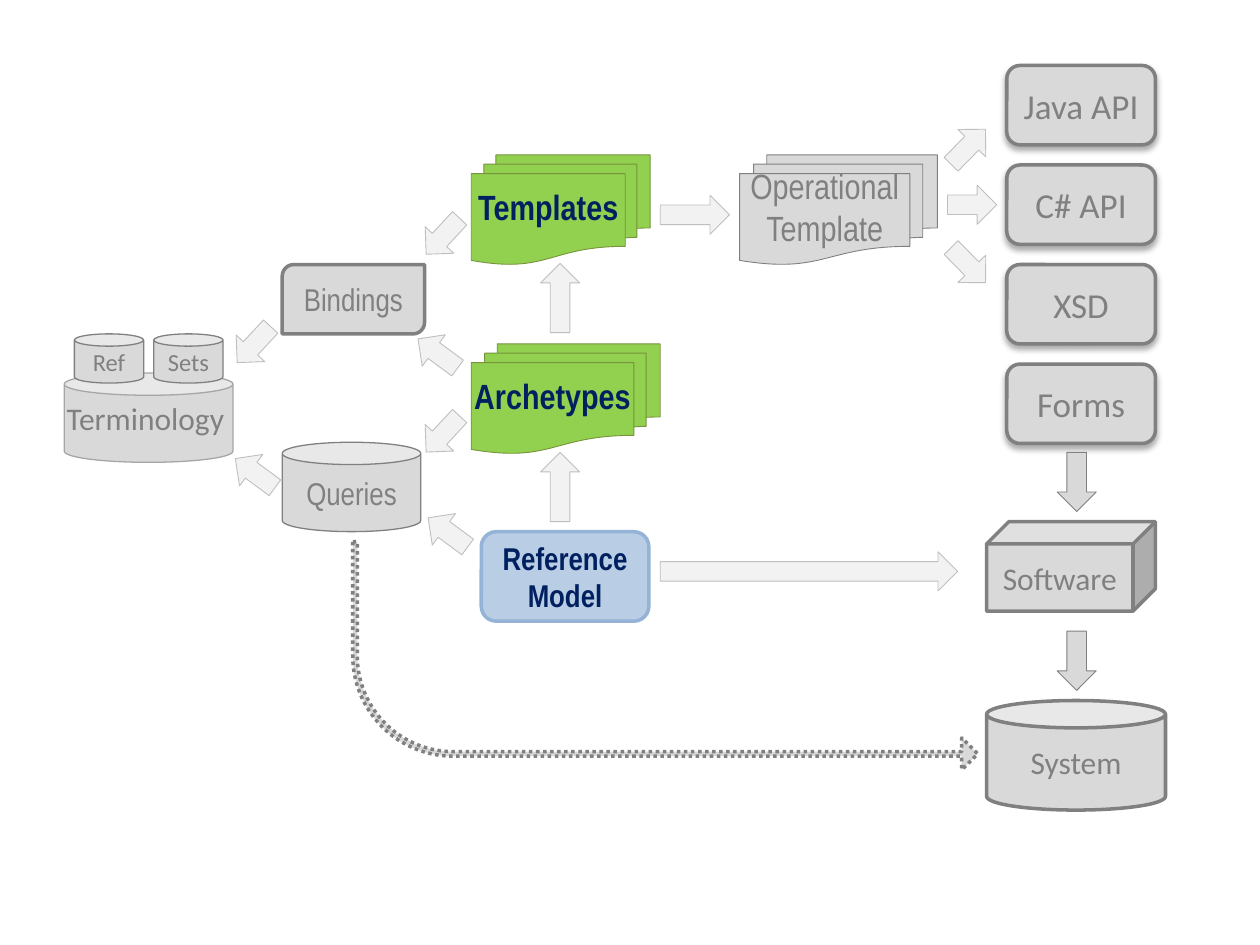
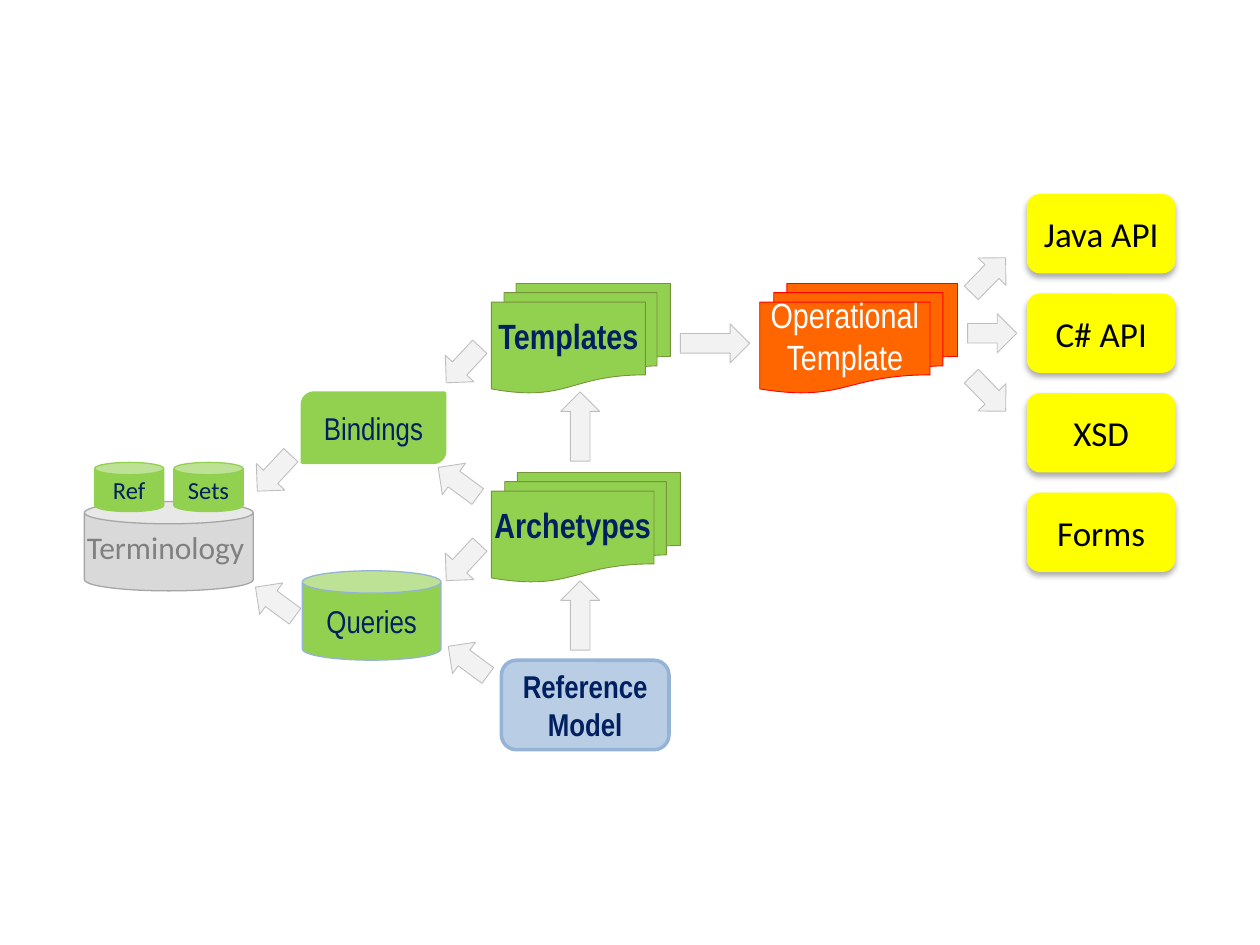
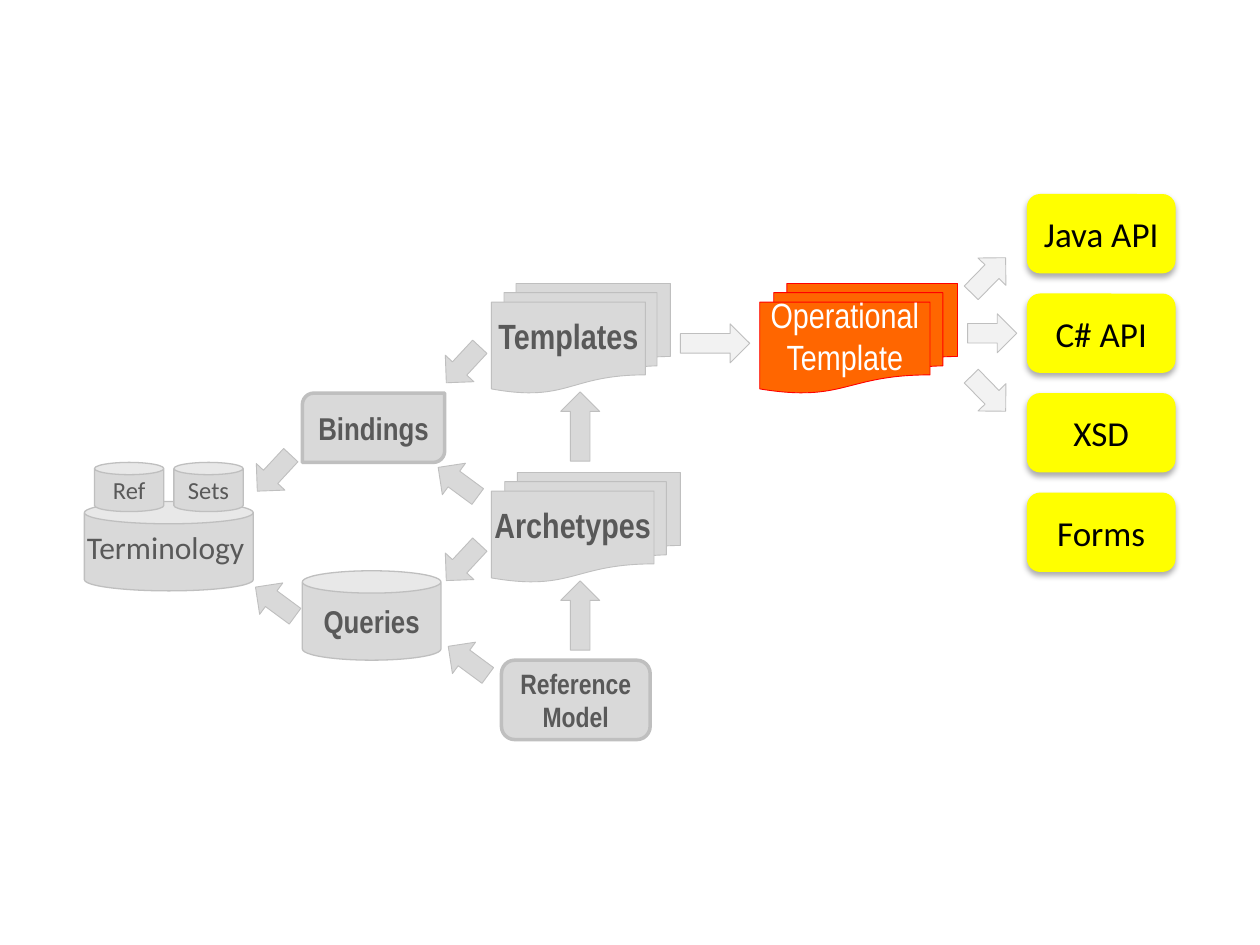
from dataclasses import dataclass, replace
from typing import Any, Optional

from lxml import etree
from pptx import Presentation
from pptx.dml.color import RGBColor
from pptx.enum.dml import MSO_LINE_DASH_STYLE as Dash
from pptx.enum.shapes import MSO_SHAPE as Shape
from pptx.enum.text import MSO_ANCHOR, PP_ALIGN
from pptx.oxml.ns import qn
from pptx.util import Inches, Pt

WHITE = RGBColor(0xFF, 0xFF, 0xFF)
BLACK = RGBColor(0x00, 0x00, 0x00)
NAVY = RGBColor(0x00, 0x20, 0x60)
PALE_BLUE = RGBColor(0xB9, 0xCD, 0xE5)
MID_BLUE = RGBColor(0x95, 0xB3, 0xD7)
GREEN = RGBColor(0x92, 0xD0, 0x50)
DARK_GREEN = RGBColor(0x77, 0x93, 0x3C)
ORANGE = RGBColor(0xFF, 0x66, 0x00)
RED = RGBColor(0xFF, 0x00, 0x00)
YELLOW = RGBColor(0xFF, 0xFF, 0x00)
GREY_F2 = RGBColor(0xF2, 0xF2, 0xF2)
GREY_D9 = RGBColor(0xD9, 0xD9, 0xD9)
GREY_BF = RGBColor(0xBF, 0xBF, 0xBF)
GREY_A6 = RGBColor(0xA6, 0xA6, 0xA6)
GREY_80 = RGBColor(0x80, 0x80, 0x80)
GREY_59 = RGBColor(0x59, 0x59, 0x59)

NARROW = "Arial Narrow"
CALIBRI = "Calibri"
DEFAULT_INSETS = (0.1, 0.05, 0.1, 0.05)
DOCUMENT_INSETS = (0, 0, 0, 0.16)
ARROW_SIZE = (0.39, 0.31)
LONG_ARROW_SIZE = (0.55, 0.31)
API_NAMES = ("Java API", "C# API", "XSD", "Forms")
DOWN_LEFT, UP_LEFT, UP, DOWN = 132.9, 216.4, 270, 90


@dataclass(frozen=True)
class Look:
    fill: RGBColor
    line: Optional[RGBColor] = None
    text: RGBColor = BLACK
    bold: bool = False


GREY = Look(GREY_D9, GREY_80, GREY_80)
MUTED = Look(GREY_D9, GREY_BF, GREY_59)
MUTED_BOLD = replace(MUTED, bold=True)
LIGHT_ARROW = Look(GREY_F2, GREY_BF)


@dataclass(frozen=True)
class Palette:
    """Looks of the diagram's parts; the defaults highlight the models."""
    reference: Look = Look(PALE_BLUE, MID_BLUE, NAVY, True)
    documents: Look = Look(GREEN, DARK_GREEN, NAVY, True)
    bindings: Look = GREY
    queries: Look = GREY
    sets: Look = GREY
    terminology: Look = Look(GREY_D9, GREY_A6, GREY_80)
    model_arrows: Look = LIGHT_ARROW
    operational: Look = GREY
    apis: Look = GREY
    reference_size: tuple = (1.33, 0.71)
    reference_font: int = 18


MODELS = Palette()
OUTPUTS = Palette(
    bindings=Look(GREEN, GREEN, NAVY),
    queries=Look(GREEN, MID_BLUE, NAVY),
    sets=Look(GREEN, GREEN, NAVY),
    operational=Look(ORANGE, RED, WHITE),
    apis=Look(YELLOW),
)
OUTPUTS_ONLY = replace(
    OUTPUTS, reference=MUTED_BOLD, documents=MUTED_BOLD, bindings=MUTED_BOLD,
    queries=MUTED_BOLD, sets=MUTED, terminology=MUTED, model_arrows=MUTED,
    reference_size=(1.18, 0.63), reference_font=16,
)


@dataclass(frozen=True)
class Canvas:
    """A shape collection with a shift, in inches, for all that is placed on it."""
    shapes: Any
    dx: float = 0
    dy: float = 0

    def frame(self, box):
        left, top, width, height = box
        return [Inches(value) for value in (left + self.dx, top + self.dy, width, height)]


def format_text(shape, text, look, size, font):
    frame = shape.text_frame
    frame.text = text
    run_font = frame.paragraphs[0].runs[0].font
    run_font.name = font
    run_font.size = Pt(size)
    run_font.bold = look.bold
    run_font.color.rgb = look.text


def add_block(canvas, kind, box, look, width, text="", size=18, font=CALIBRI,
              insets=DEFAULT_INSETS):
    shape = canvas.shapes.add_shape(kind, *canvas.frame(box))
    shape.shadow.inherit = False
    shape.fill.solid()
    shape.fill.fore_color.rgb = look.fill
    if look.line is None:
        shape.line.fill.background()
    else:
        shape.line.color.rgb = look.line
        shape.line.width = Pt(width)
    if text:
        format_text(shape, text, look, size, font)
        frame = shape.text_frame
        frame.word_wrap = True
        frame.vertical_anchor = MSO_ANCHOR.MIDDLE
        frame.paragraphs[0].alignment = PP_ALIGN.CENTER
        (frame.margin_left, frame.margin_top,
         frame.margin_right, frame.margin_bottom) = map(Inches, insets)
    return shape


def add_arrow(canvas, left, top, look, rotation=0, size=ARROW_SIZE):
    arrow = add_block(canvas, Shape.RIGHT_ARROW, (left, top, *size), look, 0.5)
    arrow.rotation = rotation


def add_documents(canvas, left, top, width, look, text):
    add_block(canvas, Shape.FLOWCHART_MULTIDOCUMENT, (left, top, width, 0.87), look, 0.5,
              text, 20, NARROW, DOCUMENT_INSETS)


def add_soft_shadow(shape):
    effects = shape.element.spPr.find(qn("a:effectLst"))
    shadow = etree.SubElement(effects, qn("a:outerShdw"), blurRad=str(Pt(3.5)),
                              dist=str(Pt(2.2)), dir="5400000", rotWithShape="0")
    color = etree.SubElement(shadow, qn("a:srgbClr"), val=str(BLACK))
    etree.SubElement(color, qn("a:alpha"), val="32000")


def add_terminology(canvas, palette):
    group = replace(canvas, shapes=canvas.shapes.add_group_shape().shapes)
    add_block(group, Shape.CAN, (0.51, 2.96, 1.34, 0.71), palette.terminology, 0.75)
    label = group.shapes.add_textbox(*group.frame((0.43, 3.12, 1.49, 0.4)))
    label.text_frame.word_wrap = False
    format_text(label, "Terminology", palette.terminology, 18, CALIBRI)
    for left, text in ((0.59, "Ref"), (1.22, "Sets")):
        add_block(group, Shape.CAN, (left, 2.65, 0.55, 0.39), palette.sets, 0.75, text, 14)


def add_models(canvas, palette):
    add_block(canvas, Shape.ROUNDED_RECTANGLE, (3.82, 4.22, *palette.reference_size),
              palette.reference, 2, "Reference Model", palette.reference_font, NARROW)
    add_block(canvas, Shape.ROUND_2_DIAG_RECTANGLE, (2.24, 2.1, 1.13, 0.55),
              palette.bindings, 2, "Bindings", 18, NARROW, (0.04, 0.05, 0.04, 0.05))
    add_terminology(canvas, palette)
    add_documents(canvas, 3.74, 2.73, 1.5, palette.documents, "Archetypes")
    add_documents(canvas, 3.74, 1.23, 1.42, palette.documents, "Templates")
    add_block(canvas, Shape.CAN, (2.24, 3.51, 1.1, 0.71), palette.queries, 0.75,
              "Queries", 18, NARROW)
    for left, top in ((3.32, 3.29), (3.32, 1.72), (1.82, 2.58)):
        add_arrow(canvas, left, top, palette.model_arrows, DOWN_LEFT)
    for left, top in ((3.36, 4.07), (3.28, 2.65), (1.83, 3.6)):
        add_arrow(canvas, left, top, palette.model_arrows, UP_LEFT)
    for top in (2.21, 3.71):
        add_arrow(canvas, 4.17, top, palette.model_arrows, UP, LONG_ARROW_SIZE)


def add_outputs(canvas, palette):
    add_arrow(canvas, 5.24, 1.55, LIGHT_ARROW, size=LONG_ARROW_SIZE)
    add_documents(canvas, 5.87, 1.23, 1.57, palette.operational, "Operational Template")
    for left, top, rotation in ((7.49, 1.01, 314.4), (7.52, 1.47, 0), (7.49, 1.95, 45.6)):
        add_arrow(canvas, left, top, LIGHT_ARROW, rotation)
    for row, name in enumerate(API_NAMES):
        box = (7.99, 0.52 + 0.79 * row, 1.18, 0.63)
        add_soft_shadow(add_block(canvas, Shape.ROUNDED_RECTANGLE, box, palette.apis, 2,
                                  name, 20))


def add_runtime(canvas):
    """Software and system, with the arrows that lead to them."""
    add_arrow(canvas, 5.24, 4.38, LIGHT_ARROW, size=(2.36, 0.31))
    for top in (3.67, 5.09):
        add_arrow(canvas, 8.31, top, GREY, DOWN, (0.47, 0.31))
    add_block(canvas, Shape.CUBE, (7.83, 4.14, 1.34, 0.71), GREY, 2, "Software")
    add_block(canvas, Shape.CAN, (7.83, 5.56, 1.42, 0.87), GREY, 2, "System")
    query_path = add_block(canvas, Shape.BENT_ARROW, (2.8, 4.3, 4.96, 1.81), GREY, 2)
    for index, value in enumerate((0.02, 0.07, 0.07, 0.44)):
        query_path.adjustments[index] = value
    query_path.line.dash_style = Dash.ROUND_DOT
    query_path.element.spPr.find(qn("a:xfrm")).set("flipV", "1")


def add_diagram(presentation, palette, dx=0, dy=0):
    slide = presentation.slides.add_slide(presentation.slide_layouts[6])
    canvas = Canvas(slide.shapes, dx, dy)
    add_models(canvas, palette)
    add_outputs(canvas, palette)
    return canvas


def main():
    presentation = Presentation()
    presentation.slide_width = Inches(10)
    presentation.slide_height = Inches(7.5)
    add_runtime(add_diagram(presentation, MODELS))
    for palette in (OUTPUTS, OUTPUTS_ONLY):
        add_diagram(presentation, palette, dx=0.16, dy=1.02)
    presentation.save("out.pptx")


if __name__ == "__main__":
    main()
